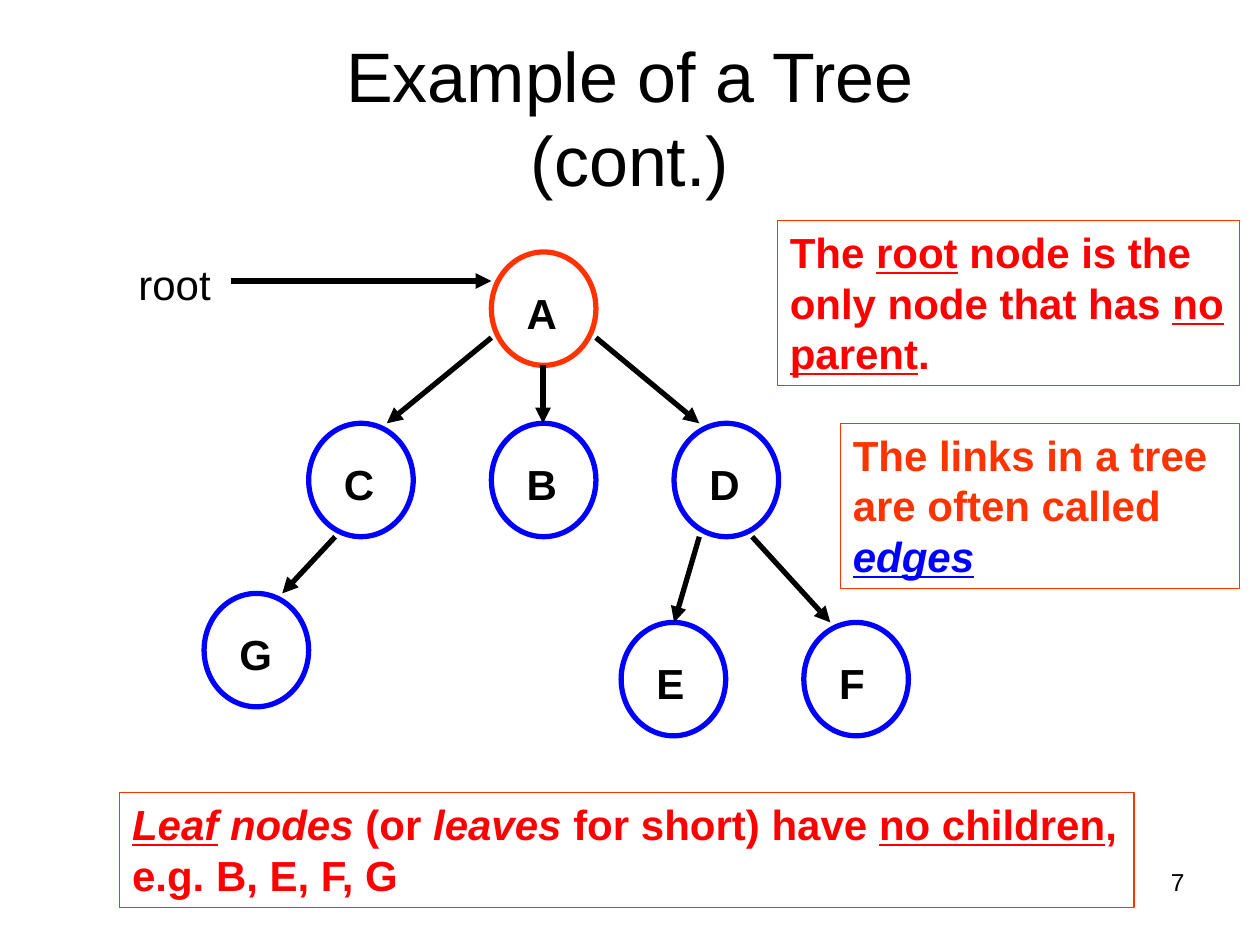
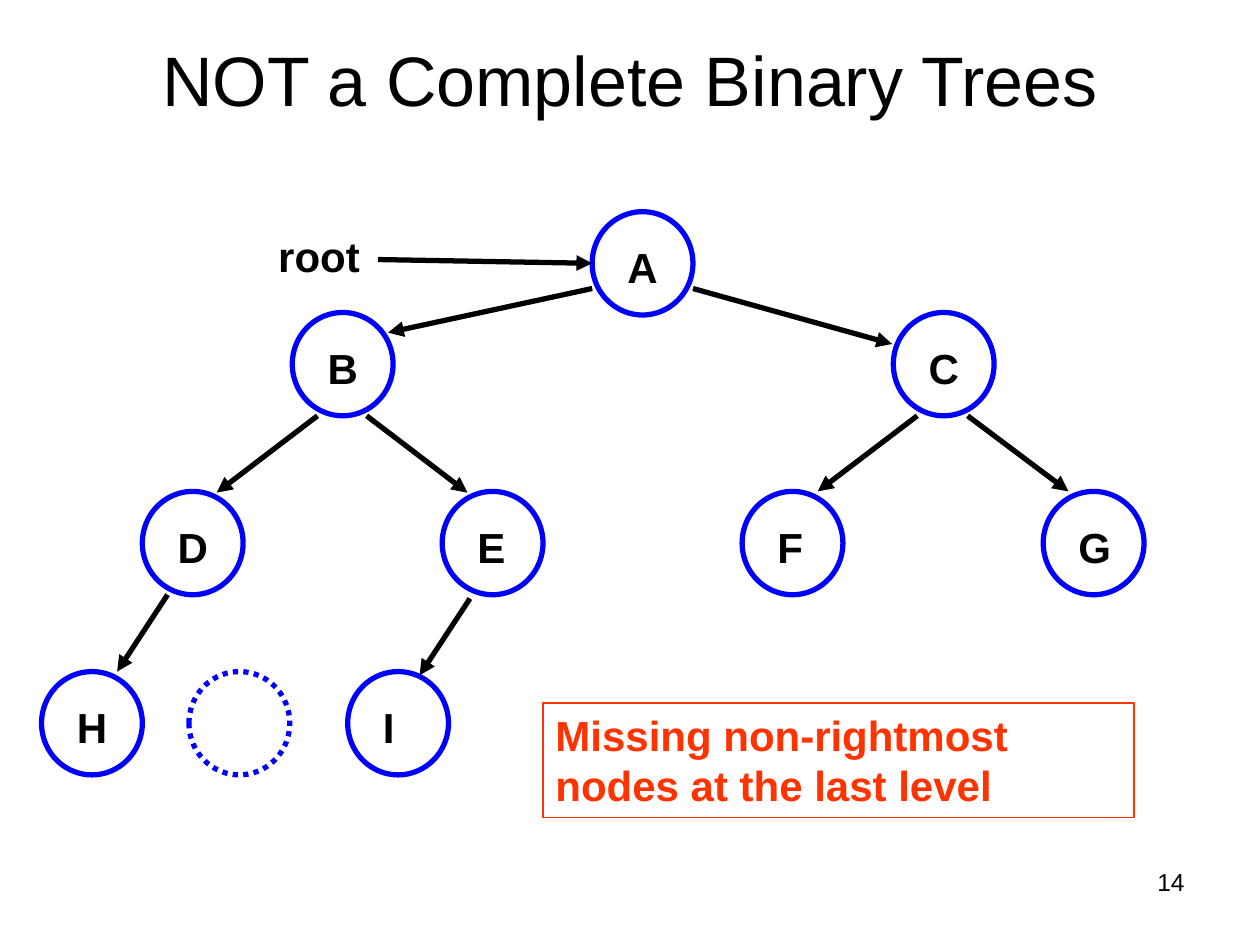
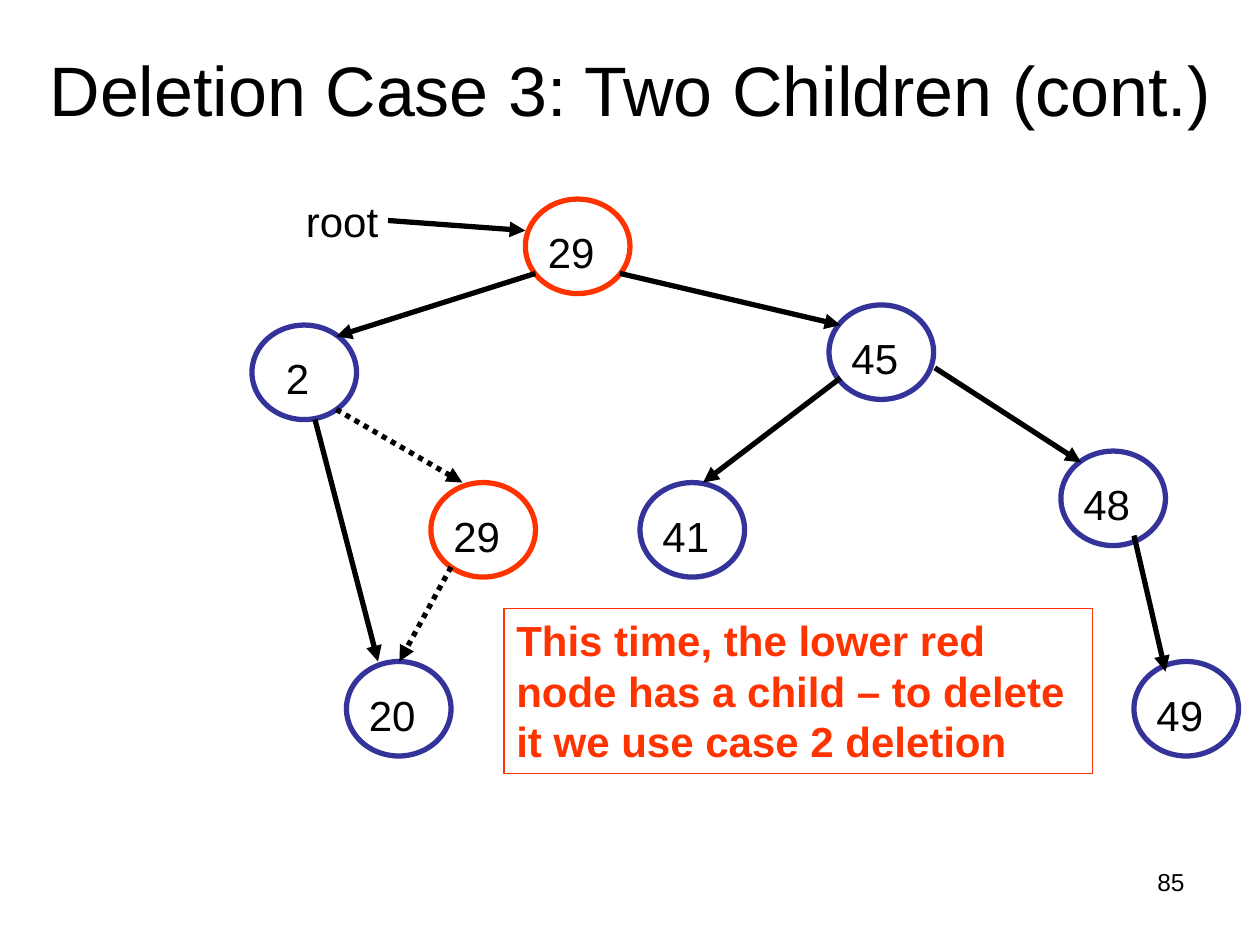
from pptx import Presentation
from pptx import util as u
from pptx.dml.color import RGBColor
from pptx.enum import dml, shapes, text
from pptx.oxml.ns import qn
from lxml import etree

BLACK = RGBColor(0, 0, 0)
WHITE = RGBColor(255, 255, 255)
RED = RGBColor(255, 0, 0)
CORAL = RGBColor(255, 51, 0)
BLUE = RGBColor(0, 0, 255)
NAVY = RGBColor(51, 51, 153)
DOT = dml.MSO_LINE.ROUND_DOT


def style(shape, size, color, bold=False, align=text.PP_ALIGN.LEFT):
    for para in shape.text_frame.paragraphs:
        para.alignment = align
        for run in para.runs:
            run.font.name = "Arial"
            run.font.size = u.Pt(size)
            run.font.color.rgb = color
            run.font.bold = bold


def label(slide, words, left, top, width, height, size, bold, align=text.PP_ALIGN.LEFT, pad=0.1):
    box = slide.shapes.add_textbox(*map(u.Inches, (left, top, width, height)))
    box.text_frame.word_wrap = True
    box.text_frame.margin_left = u.Inches(pad)
    box.text_frame.text = words
    style(box, size, BLACK, bold, align)


trees = [
    {
        "title": "Example of a Tree\v(cont.)", "place": (0.5, 0.3, 9, 1.25), "page": "7",
        "root": (1, 2, 1.45, 0.68), "bold": (False, True),
        "size": (0.83, 0.9), "fill": True, "shift": (0, 0.23), "pad": 0.28,
        "nodes": [
            ("A", 3.9, 2, CORAL), ("C", 2.45, 3.36, BLUE), ("B", 3.9, 3.36, BLUE),
            ("D", 5.35, 3.36, BLUE), ("E", 4.93, 4.94, BLUE), ("F", 6.38, 4.94, BLUE),
            ("G", 1.62, 4.71, BLUE),
        ],
        "edges": [
            (3.9, 2.68, 3.07, 3.36), (4.31, 2.9, 4.31, 3.36), (4.73, 2.68, 5.55, 3.36),
            (2.66, 4.26, 2.24, 4.71), (5.55, 4.26, 5.35, 4.94), (5.97, 4.26, 6.59, 4.94),
            (1.83, 2.23, 3.9, 2.23),
        ],
        "dots": [],
        "notes": [
            ((6.17, 1.75, 3.67, 1.31), RED, [
                ("The ", ""), ("root", "u"), (" node is the only node that has ", ""),
                ("no parent", "u"), (".", "")]),
            ((0.95, 6.29, 8.05, 0.91), RED, [
                ("Leaf", "iu"), (" nodes", "i"), (" (or ", ""), ("leaves ", "i"),
                ("for short) have ", ""), ("no children", "u"), (", e.g. B, E, F, G", "")]),
            ((6.67, 3.36, 3.17, 1.31), CORAL, [
                ("The links in a tree are often called ", ""), ("edges", "iub")]),
        ],
    },
    {
        "title": "NOT a Complete Binary Trees", "place": (0.5, 0, 9, 1.25), "page": "14",
        "root": (2.11, 1.78, 1.19, 0.61), "bold": (True, True),
        "size": (0.8, 0.82), "fill": True, "shift": (0, 0.19), "pad": 0.28,
        "nodes": [
            ("A", 4.7, 1.68, BLUE), ("B", 2.32, 2.48, BLUE), ("C", 7.09, 2.48, BLUE),
            ("D", 1.13, 3.9, BLUE), ("E", 3.51, 3.9, BLUE), ("F", 5.89, 3.9, BLUE),
            ("G", 8.28, 3.9, BLUE), ("H", 0.33, 5.33, BLUE), ("", 1.5, 5.33, BLUE),
            ("I", 2.76, 5.33, BLUE),
        ],
        "edges": [
            (3, 2.06, 4.7, 2.09), (4.7, 2.29, 3.08, 2.64), (5.5, 2.29, 7.08, 2.73),
            (2.52, 3.3, 1.72, 3.91), (2.91, 3.3, 3.71, 3.91), (7.28, 3.3, 6.49, 3.9),
            (7.68, 3.3, 8.48, 3.9), (1.33, 4.72, 0.93, 5.33), (3.73, 4.75, 3.33, 5.36),
        ],
        "dots": [],
        "notes": [
            ((4.31, 5.58, 4.69, 0.91), CORAL, [
                ("Missing non-rightmost nodes at the last level", "")]),
        ],
    },
    {
        "title": "Deletion Case 3: Two Children (cont.)", "place": (0.25, 0.08, 9.5, 1.25), "page": "85",
        "root": (2.33, 1.5, 1.83, 0.5), "bold": (False, False),
        "size": (0.83, 0.75), "fill": False, "shift": (0.08, 0.17), "pad": 0.1,
        "nodes": [
            ("29", 4.17, 1.58, CORAL), ("2", 2, 2.58, NAVY), ("45", 6.58, 2.42, NAVY),
            ("48", 8.42, 3.58, NAVY), ("41", 5.08, 3.83, NAVY), ("29", 3.42, 3.83, CORAL),
            ("20", 2.75, 5.25, NAVY), ("49", 9, 5.25, NAVY),
        ],
        "edges": [
            (3.08, 1.75, 4.17, 1.83), (4.25, 2.17, 2.67, 2.67), (4.92, 2.17, 6.67, 2.58),
            (7.42, 2.92, 8.58, 3.67), (6.67, 3, 5.58, 3.83), (9, 4.25, 9.25, 5.33),
            (2.5, 3.33, 3, 5.25),
        ],
        "dots": [(2.67, 3.25, 3.67, 3.83), (3.58, 4.5, 3.17, 5.25)],
        "notes": [
            ((4, 4.83, 4.67, 1.31), CORAL, [
                ("This time, the lower red node has a child – to delete it we use case 2 deletion", "")]),
        ],
    },
]

deck = Presentation()
deck.slide_width, deck.slide_height = u.Inches(10), u.Inches(7.5)

for tree in trees:
    slide = deck.slides.add_slide(deck.slide_layouts[5])
    title = slide.shapes.title
    title.left, title.top, title.width, title.height = map(u.Inches, tree["place"])
    title.text_frame.text = tree["title"]
    title.text_frame.auto_size = text.MSO_AUTO_SIZE.NONE
    title.text_frame.vertical_anchor = text.MSO_ANCHOR.MIDDLE
    style(title, 40, BLACK, align=text.PP_ALIGN.CENTER)
    label(slide, tree["page"], 7.17, 6.83, 2.33, 0.52, 14, False, text.PP_ALIGN.RIGHT)
    label(slide, "root", *tree["root"], 24, tree["bold"][0])

    width, height = tree["size"]
    right, down = tree["shift"]
    for name, left, top, color in tree["nodes"]:
        node = slide.shapes.add_shape(
            shapes.MSO_SHAPE.OVAL, *map(u.Inches, (left, top, width, height)))
        node.shadow.inherit = False
        if tree["fill"]:
            node.fill.solid()
            node.fill.fore_color.rgb = WHITE
        else:
            node.fill.background()
        node.line.color.rgb = color
        node.line.width = u.Pt(3)
        if name:
            pad = 0.19 if name == "2" else tree["pad"]
            span = min(width + 0.2, 10 - left - right)
            label(slide, name, left + right, top + down, span, 0.5, 24, tree["bold"][1], pad=pad)
        else:
            node.line.dash_style = DOT

    for edge in tree["edges"] + tree["dots"]:
        link = slide.shapes.add_connector(shapes.MSO_CONNECTOR.STRAIGHT, *map(u.Inches, edge))
        link.line.color.rgb = BLACK
        link.line.width = u.Pt(3)
        if edge in tree["dots"]:
            link.line.dash_style = DOT
        etree.SubElement(link.line._get_or_add_ln(), qn("a:tailEnd"), type="triangle")
        etree.SubElement(link._element.spPr, qn("a:effectLst"))

    for place, color, parts in tree["notes"]:
        note = slide.shapes.add_shape(shapes.MSO_SHAPE.RECTANGLE, *map(u.Inches, place))
        note.shadow.inherit = False
        note.fill.background()
        note.line.color.rgb = CORAL
        note.line.width = u.Pt(0.75)
        note.text_frame.word_wrap = True
        note.text_frame.vertical_anchor = text.MSO_ANCHOR.TOP
        para = note.text_frame.paragraphs[0]
        for words, marks in parts:
            para.add_run().text = words
        style(note, 24, color, True)
        for run, (words, marks) in zip(para.runs, parts):
            run.font.italic = "i" in marks
            run.font.underline = "u" in marks
            if "b" in marks:
                run.font.color.rgb = BLUE

deck.save("out.pptx")
